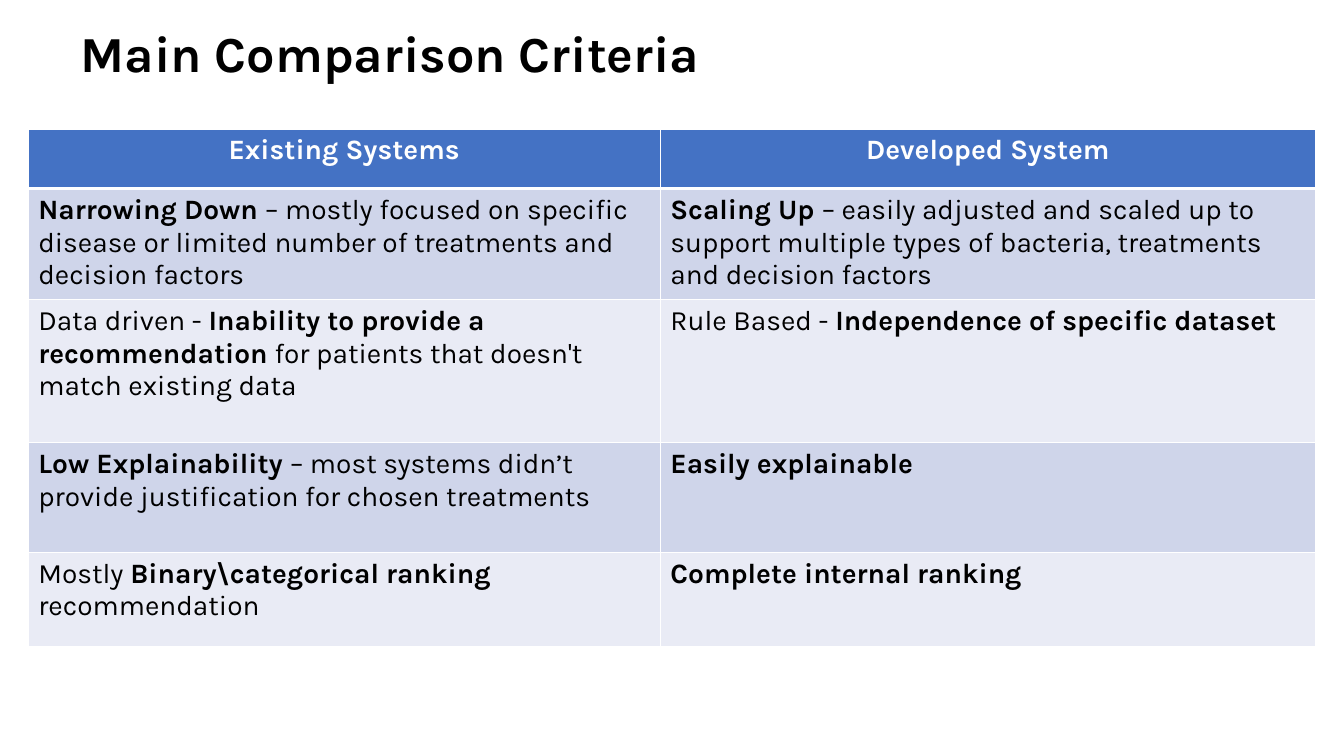
from lxml import etree
from pptx import Presentation
from pptx.dml.color import RGBColor
from pptx.enum.text import MSO_ANCHOR, PP_ALIGN
from pptx.oxml.ns import qn
from pptx.util import Inches, Pt

CENTER, LEFT = PP_ALIGN.CENTER, PP_ALIGN.LEFT
MIDDLE = MSO_ANCHOR.MIDDLE

HEADERS = ["Existing Systems", "Developed System"]
CRITERIA = [
    ["**Narrowing Down **– mostly focused on specific disease or limited number of treatments and decision factors",
     "**Scaling Up **– easily adjusted and scaled up to support multiple types of bacteria, treatments and decision factors"],
    ["Data driven - **Inability to provide a recommendation** for patients that doesn't match existing data",
     "Rule Based - **Independence of specific dataset**"],
    ["**Low Explainability **– most systems didn’t provide justification for chosen treatments",
     "**Easily explainable**"],
    ["Mostly **Binary\\categorical ranking **recommendation",
     "**Complete internal ranking**"],
]
COL_WIDTHS = [47.03, 48.76]
ROW_HEIGHTS = [7.87, 14.53, 18.93, 14.53, 12.4]


def rgb(value):
    return RGBColor.from_string(value)


class Deck:
    font = "Karla"
    ink, paper = "000000", "FFFFFF"
    header = "4472C4"
    bands = ["CFD5EA", "E9EBF5"]

    def __init__(self):
        self.prs = Presentation()
        self.prs.slide_width, self.prs.slide_height = Inches(13.33), Inches(7.5)
        self.s = self.prs.slides.add_slide(self.prs.slide_layouts[6])

    def x(self, percent):
        return round(self.prs.slide_width * percent / 100)

    def y(self, percent):
        return round(self.prs.slide_height * percent / 100)

    def add_text(self, p, text, size, color, align):
        p.alignment = align
        for i, part in enumerate(text.split("**")):
            if part:
                r = p.add_run()
                r.text = part
                r.font.name, r.font.size = self.font, Pt(size)
                r.font.bold = i % 2 == 1
                r.font.color.rgb = rgb(color)

    def title(self, text, left, top, width, height):
        sp = self.s.shapes.add_textbox(self.x(left), self.y(top), self.x(width), self.y(height))
        tf = sp.text_frame
        tf.word_wrap = True
        tf.vertical_anchor = MIDDLE
        p = tf.paragraphs[0]
        p.line_spacing = 0.9
        self.add_text(p, f"**{text}**", 36, self.ink, CENTER)

    def borders(self, cell, **widths):
        tc_pr = cell._tc.get_or_add_tcPr()
        for side in "LRTB":
            ln = etree.SubElement(tc_pr, qn(f"a:ln{side}"), w=str(Pt(widths.get(side, 1))))
            fill = etree.SubElement(ln, qn("a:solidFill"))
            etree.SubElement(fill, qn("a:srgbClr"), val=self.paper)

    def cell(self, cell, text, fill, color, align, **widths):
        self.add_text(cell.text_frame.paragraphs[0], text, 20, color, align)
        self.borders(cell, **widths)
        cell.fill.solid()
        cell.fill.fore_color.rgb = rgb(fill)

    def table(self, headers, rows, left, top, col_widths, row_heights):
        frame = self.s.shapes.add_table(
            len(rows) + 1, len(headers), self.x(left), self.y(top),
            self.x(sum(col_widths)), self.y(sum(row_heights)))
        table = frame.table
        for column, width in zip(table.columns, col_widths):
            column.width = self.x(width)
        for row, height in zip(table.rows, row_heights):
            row.height = self.y(height)
        for c, text in enumerate(headers):
            self.cell(table.cell(0, c), f"**{text}**", self.header, self.paper, CENTER, B=3)
        for r, texts in enumerate(rows):
            for c, text in enumerate(texts):
                self.cell(table.cell(r + 1, c), text, self.bands[r % 2], self.ink, LEFT,
                          T=3 if r == 0 else 1)


def main():
    deck = Deck()
    deck.title("Main Comparison Criteria", 2.93, 3.2, 52.2, 8.4)
    deck.table(HEADERS, CRITERIA, 2.1, 17.07, COL_WIDTHS, ROW_HEIGHTS)
    deck.prs.save("out.pptx")


if __name__ == "__main__":
    main()
